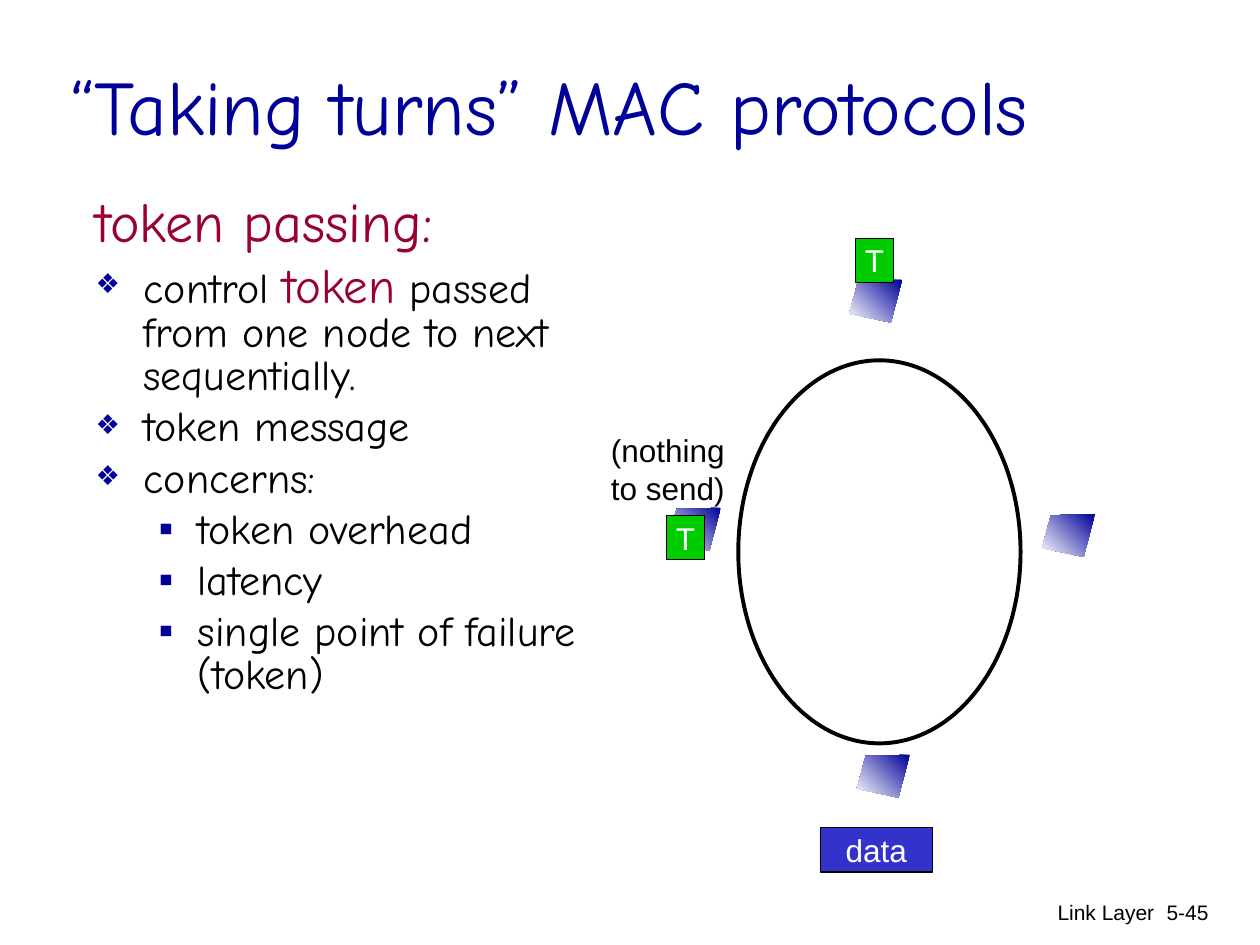
from lxml.etree import SubElement
from pptx import Presentation
from pptx.dml.color import RGBColor
from pptx.enum.shapes import MSO_SHAPE
from pptx.enum.text import MSO_ANCHOR, MSO_AUTO_SIZE, PP_ALIGN
from pptx.oxml.ns import qn
from pptx.util import Inches, Pt

NAVY = RGBColor(0x00, 0x00, 0x99)
CRIMSON = RGBColor(0x99, 0x00, 0x33)
GREEN = RGBColor(0x00, 0xCC, 0x00)
BLUE = RGBColor(0x33, 0x33, 0xCC)
BLACK = RGBColor(0x00, 0x00, 0x00)
WHITE = RGBColor(0xFF, 0xFF, 0xFF)

NODE_OUTLINE = [(0.42, 0), (0.07, 0.01), (0, 0.27), (0.33, 0.34)]
NODES = [(8.27, 4.08), (5.3, 4.03), (6.74, 2.22), (6.8, 5.99)]
BULLETS = [("❖", 65, 0.38, 0.38), ("▪", 100, 0.81, 0.31)]
LIST_ITEMS = [
    (0, [("control ", 24, BLACK), ("token", 28, CRIMSON),
         (" passed from one node to next sequentially.", 24, BLACK)]),
    (0, [("token message", 24, BLACK)]),
    (0, [("concerns:", 24, BLACK)]),
    (1, [("token overhead", 24, BLACK)]),
    (1, [("latency", 24, BLACK)]),
    (1, [("single point of failure (token)", 24, BLACK)]),
]


class SlideBuilder:
    heading_font = "Comic Neue"
    label_font = "Arial"

    def __init__(self, slide):
        self.slide = slide

    def style(self, font, name, size, color):
        font.name = name
        font.size = Pt(size)
        font.color.rgb = color

    def place(self, shape, left, top, width, height):
        shape.left, shape.top = Inches(left), Inches(top)
        shape.width, shape.height = Inches(width), Inches(height)

    def title(self, text, *box):
        shape = self.slide.shapes.title
        self.place(shape, *box)
        frame = shape.text_frame
        frame.text = text
        frame.auto_size = MSO_AUTO_SIZE.NONE
        frame.vertical_anchor = MSO_ANCHOR.MIDDLE
        paragraph = frame.paragraphs[0]
        paragraph.alignment = PP_ALIGN.LEFT
        self.style(paragraph.font, self.heading_font, 44, NAVY)

    def bullet(self, paragraph, level):
        character, percent, margin, hanging = BULLETS[level]
        paragraph.level = level
        properties = paragraph._p.get_or_add_pPr()
        properties.set("marL", str(Inches(margin)))
        properties.set("indent", str(-Inches(hanging)))
        color = SubElement(properties, qn("a:buClr"))
        SubElement(color, qn("a:srgbClr"), val=str(NAVY))
        SubElement(properties, qn("a:buSzPct"), val=str(percent * 1000))
        SubElement(properties, qn("a:buChar"), char=character)

    def body(self, heading, items, *box):
        shape = self.slide.placeholders[1]
        self.place(shape, *box)
        frame = shape.text_frame
        frame.auto_size = MSO_AUTO_SIZE.NONE
        frame.text = heading
        paragraph = frame.paragraphs[0]
        paragraph.line_spacing = 0.85
        paragraph.space_before = Pt(0)
        properties = paragraph._p.get_or_add_pPr()
        properties.set("marL", str(Inches(0.38)))
        properties.set("indent", str(-Inches(0.38)))
        SubElement(properties, qn("a:buNone"))
        self.style(paragraph.font, self.heading_font, 32, CRIMSON)
        for level, runs in items:
            paragraph = frame.add_paragraph()
            paragraph.line_spacing = 0.85
            self.bullet(paragraph, level)
            for text, size, color in runs:
                run = paragraph.add_run()
                run.text = text
                if len(runs) > 1:
                    self.style(run.font, self.heading_font, size, color)
            if len(runs) == 1:
                self.style(paragraph.font, self.heading_font, size, color)

    def label(self, lines, size, alignment, wrap, *box):
        shape = self.slide.shapes.add_textbox(*map(Inches, box))
        frame = shape.text_frame
        frame.word_wrap = wrap
        frame.text = "\n".join(lines)
        for paragraph in frame.paragraphs:
            paragraph.alignment = alignment
            self.style(paragraph.font, self.label_font, size, BLACK)

    def node(self, left, top):
        points = [(Inches(left + x), Inches(top + y)) for x, y in NODE_OUTLINE]
        builder = self.slide.shapes.build_freeform(*points[0])
        builder.add_line_segments(points[1:], close=True)
        shape = builder.convert_to_shape()
        shape.shadow.inherit = False
        shape.line.fill.background()
        shape.fill.gradient()
        shape.fill.gradient_angle = 225
        for stop, color in zip(shape.fill.gradient_stops, (NAVY, WHITE)):
            stop.color.rgb = color

    def ring(self, *box):
        shape = self.slide.shapes.add_shape(MSO_SHAPE.OVAL, *map(Inches, box))
        shape.shadow.inherit = False
        shape.fill.background()
        shape.line.color.rgb = BLACK
        shape.line.width = Pt(2.25)

    def packet(self, text, fill, *box):
        shape = self.slide.shapes.add_shape(MSO_SHAPE.RECTANGLE, *map(Inches, box))
        shape.shadow.inherit = False
        shape.fill.solid()
        shape.fill.fore_color.rgb = fill
        shape.line.color.rgb = BLACK
        shape.line.width = Pt(0.75)
        frame = shape.text_frame
        frame.word_wrap = False
        frame.vertical_anchor = MSO_ANCHOR.MIDDLE
        frame.text = text
        paragraph = frame.paragraphs[0]
        paragraph.alignment = PP_ALIGN.CENTER
        self.style(paragraph.font, self.label_font, 18, WHITE)


def main():
    presentation = Presentation()
    presentation.slide_width = Inches(10)
    presentation.slide_height = Inches(7.5)
    builder = SlideBuilder(presentation.slides.add_slide(presentation.slide_layouts[1]))

    builder.title("“Taking turns” MAC protocols", 0.46, 0.21, 9.26, 1.25)
    builder.body("token passing:", LIST_ITEMS, 0.66, 1.51, 4.11, 5.08)
    builder.label(["Link Layer"], 12, PP_ALIGN.RIGHT, True, 6.09, 7.09, 3.17, 0.5)
    builder.label(["5-45"], 12, PP_ALIGN.RIGHT, True, 8.95, 7.09, 0.74, 0.5)
    for left, top in NODES:
        builder.node(left, top)
    builder.ring(5.86, 2.86, 2.24, 3.04)
    builder.packet("T", GREEN, 6.79, 1.89, 0.3, 0.35)
    builder.packet("data", BLUE, 6.51, 6.57, 0.89, 0.35)
    builder.label(["(nothing", "to send)"], 18, PP_ALIGN.LEFT, False, 4.75, 3.37, 1.1, 0.7)
    builder.packet("T", GREEN, 5.29, 4.09, 0.3, 0.35)

    presentation.save("out.pptx")


if __name__ == "__main__":
    main()
